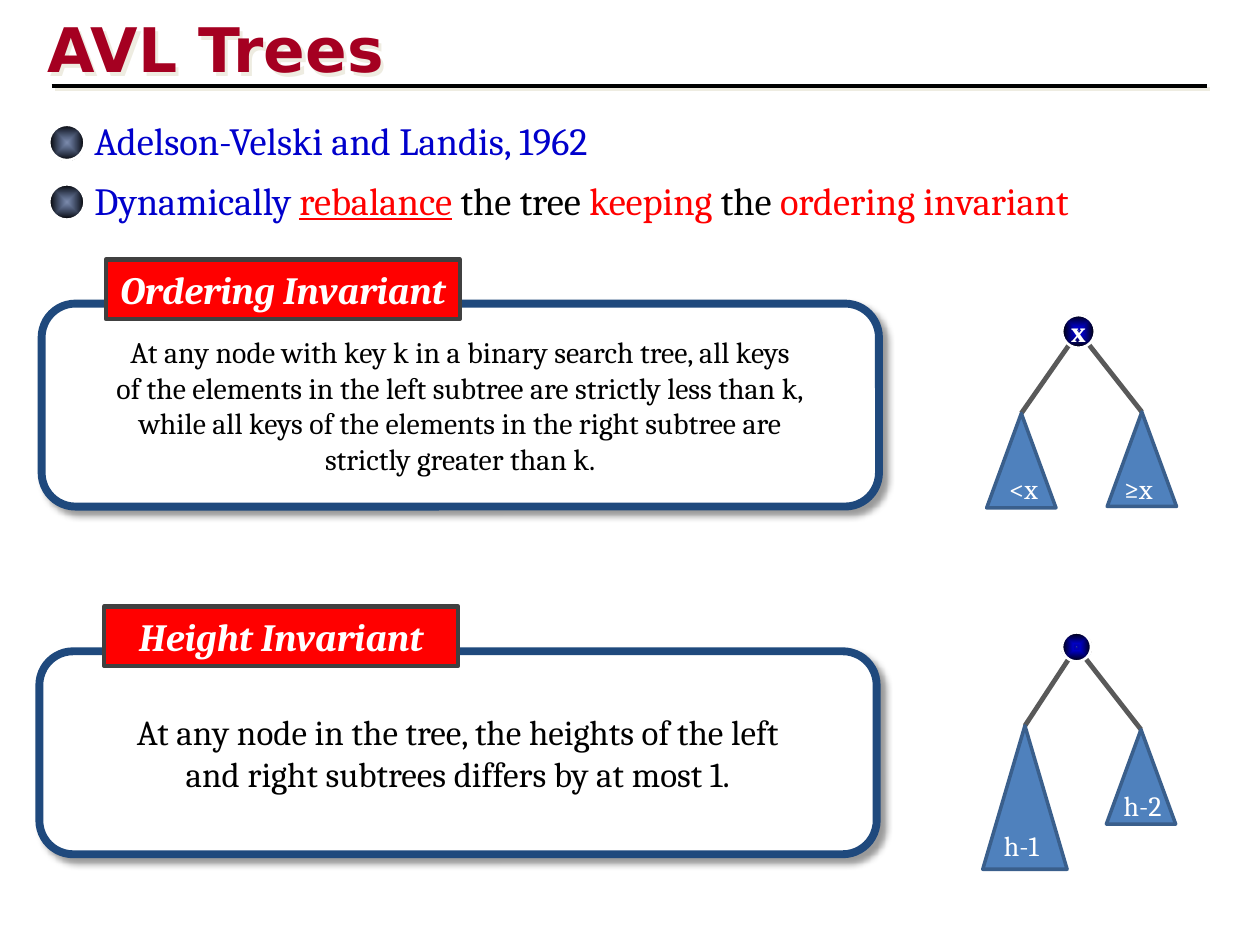
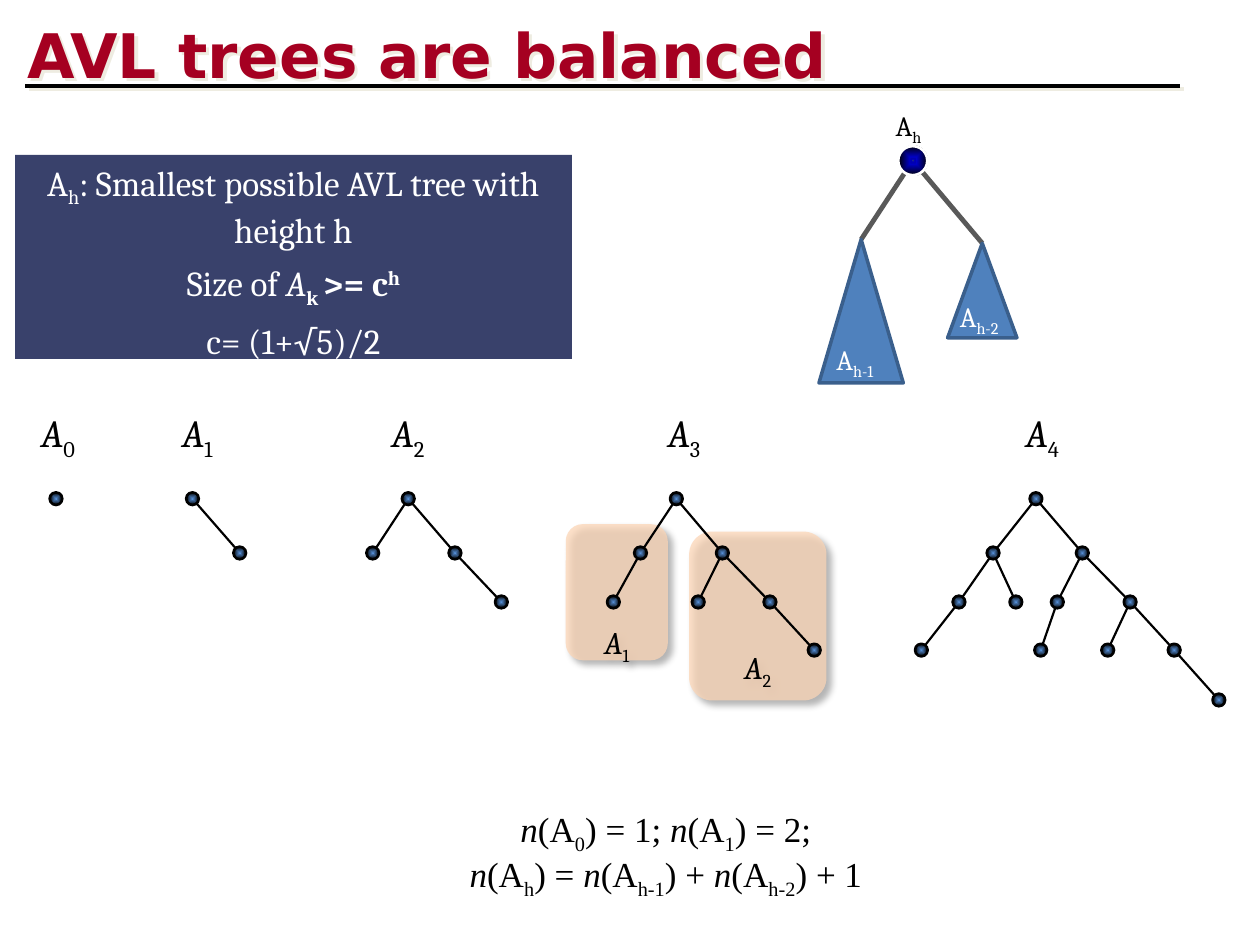
from dataclasses import dataclass

from pptx import Presentation
from pptx.dml.color import RGBColor as Rgb
from pptx.enum.shapes import MSO_CONNECTOR as Connector, MSO_SHAPE as Kind
from pptx.enum.text import MSO_ANCHOR as Anchor, PP_ALIGN as Align
from pptx.oxml import parse_xml
from pptx.oxml.ns import nsdecls, qn
from pptx.util import Pt


@dataclass(frozen=True)
class Theme:
    # Fonts and type sizes
    body_font: str = "Cambria"
    title_font: str = "DejaVu Sans"
    math_font: str = "Times New Roman"
    title: float = 35.1
    lead: float = 22
    text: float = 20
    patch: float = 18
    fine: float = 17
    label: float = 16
    # Colours
    white: str = "FFFFFF"
    black: str = "000000"
    maroon: str = "A50021"
    blue: str = "0000CC"
    red: str = "FF0000"
    navy: str = "39416B"
    peach: str = "FCD5B5"
    subtree: str = "4F81BD"
    # Outlines: colour, width
    white_edge: tuple = ("FFFFFF", 1.5)
    black_edge: tuple = ("000000", 1.5)
    panel_edge: tuple = ("1F497D", 4.5)
    tag_edge: tuple = ("404040", 2.5)
    subtree_edge: tuple = ("3A5F8C", 2)
    branch: tuple = ("595959", 2.75)
    twig: tuple = ("000000", 1.25)
    rule: tuple = ("000000", 2.25)
    # Gradients, centre to rim: position, colour, opacity
    bullet: tuple = ((0, "002060", 51), (100, "000000", 100))
    dot: tuple = ((0, "558ED5", 100), (100, "000000", 100))
    root: tuple = ((0, "0000CC", 100), (0, "002060", 25), (6, "0000C0", 100),
                   (10, "0000B7", 100), (16, "0000AB", 100),
                   (21, "0000CC", 100), (100, "000000", 100))
    # Shadows: colour, opacity, blur, distance
    title_shadow: tuple = ("EEECE1", 100, 0, 2.8)
    panel_shadow: tuple = ("000000", 40, 4, 4)


theme = Theme()
SHADOW = ('<a:outerShdw {ns} blurRad="{blur}" dist="{dist}" dir="2700000" algn="tl" '
          'rotWithShape="0"><a:srgbClr val="{color}"><a:alpha val="{alpha}"/>'
          '</a:srgbClr></a:outerShdw>')


def add_box(page, kind, place, paragraphs=(), fill=None, edge=None, shadow=None,
            size=theme.lead, font=theme.body_font, color=theme.black, marks="",
            align=Align.LEFT, anchor=Anchor.TOP, wrap=True, before=0):
    """Add a shape, or a text box if kind is None.

    A paragraph is a list of runs (text, marks, colour); the marks are
    b, i, u, _ for subscript and ^ for superscript."""
    place = [Pt(length) for length in place]
    shapes = page.shapes
    box = shapes.add_shape(kind, *place) if kind else shapes.add_textbox(*place)
    if isinstance(fill, str):
        box.fill.solid()
        box.fill.fore_color.rgb = Rgb.from_string(fill)
    elif fill:
        stops = "".join(
            f'<a:gs pos="{spot * 1000}"><a:srgbClr val="{tone}">'
            f'<a:alpha val="{alpha * 1000}"/></a:srgbClr></a:gs>'
            for spot, tone, alpha in fill)
        box._element.spPr.find(qn("a:prstGeom")).addnext(parse_xml(
            f'<a:gradFill {nsdecls("a")}><a:gsLst>{stops}</a:gsLst><a:path path="shape">'
            '<a:fillToRect l="50000" t="50000" r="50000" b="50000"/></a:path></a:gradFill>'))
    else:
        box.fill.background()
    if edge:
        box.line.color.rgb = Rgb.from_string(edge[0])
        box.line.width = Pt(edge[1])
    else:
        box.line.fill.background()
    box.shadow.inherit = False
    if shadow:
        tone, alpha, blur, distance = shadow
        box._element.spPr.find(qn("a:effectLst")).append(parse_xml(SHADOW.format(
            ns=nsdecls("a"), color=tone, alpha=alpha * 1000,
            blur=Pt(blur), dist=Pt(distance))))
    frame = box.text_frame
    frame.word_wrap = wrap
    frame.vertical_anchor = anchor
    for index, runs in enumerate(paragraphs):
        para = frame.add_paragraph() if index else frame.paragraphs[0]
        para.alignment = align
        para.space_before = Pt(before)
        para.font.name, para.font.size = font, Pt(size)
        para.font.color.rgb = Rgb.from_string(color)
        para.font.bold, para.font.italic = "b" in marks, "i" in marks
        for text, *style in runs:
            span = para.add_run()
            span.text = text
            flags = style[0] if style else ""
            if "b" in flags:
                span.font.bold = True
            if "i" in flags:
                span.font.italic = True
            if "u" in flags:
                span.font.underline = True
            if "_" in flags or "^" in flags:
                span.font._element.set("baseline", "-25000" if "_" in flags else "30000")
            if len(style) > 1:
                span.font.color.rgb = Rgb.from_string(style[1])
    return box


def add_line(page, start, end, edge, shadow=None):
    line = page.shapes.add_connector(
        Connector.STRAIGHT, *[Pt(length) for length in (*start, *end)])
    line.line.color.rgb = Rgb.from_string(edge[0])
    line.line.width = Pt(edge[1])
    effects = parse_xml(f'<a:effectLst {nsdecls("a")}/>')
    line._element.spPr.append(effects)
    if shadow:
        tone, alpha, blur, distance = shadow
        effects.append(parse_xml(SHADOW.format(
            ns=nsdecls("a"), color=tone, alpha=alpha * 1000,
            blur=Pt(blur), dist=Pt(distance))))


deck = Presentation()
deck.slide_width, deck.slide_height = Pt(720), Pt(540)

# Pages with title and rule
pages = []
for title, left, top, rule_left in (("AVL Trees", 20, 3, 29.5),
                                    ("AVL trees are balanced", 8.5, 6, 14.5)):
    page = deck.slides.add_slide(deck.slide_layouts[6])
    add_box(page, None, (left, top, 690, 48), [[(title,)]], size=theme.title,
            font=theme.title_font, color=theme.maroon, marks="b",
            shadow=theme.title_shadow)
    add_line(page, (rule_left, 49), (rule_left + 660, 49), theme.rule, theme.title_shadow)
    pages.append(page)
invariants, balance = pages

# Bulleted statements
statements = [
    [("Adelson-Velski and Landis, 1962",)],
    [("Dynamically ",), ("rebalance", "u", theme.red), (" ",),
     ("the tree ", "", theme.black), ("keeping ", "", theme.red),
     ("the ", "", theme.black), ("ordering invariant", "", theme.red)],
]
for row, runs in enumerate(statements):
    top = 63.4 + 34 * row
    add_box(invariants, Kind.OVAL, (28.1, top + 7.9, 20.2, 20.2),
            fill=theme.bullet, edge=theme.white_edge)
    add_box(invariants, None, (46.8, top, 653, 34), [runs], color=theme.blue)

# Invariant panels with their tags
panels = [
    ("Ordering Invariant", 23.8, 173.5, 60.5, 148.3, theme.fine,
     ["At any node with key k in a binary search tree, all keys",
      "of the elements in the left subtree are strictly less than k,",
      "while all keys of the elements in the right subtree are",
      "strictly greater than k."]),
    ("Height Invariant", 22.5, 372.2, 59.5, 346.5, theme.text,
     ["At any node in the tree, the heights of the left",
      "and right subtrees differs by at most 1."]),
]
for tag, left, top, tag_left, tag_top, size, lines in panels:
    add_box(invariants, Kind.ROUNDED_RECTANGLE, (left, top, 478.5, 116),
            [[(line,)] for line in lines], theme.white, theme.panel_edge,
            theme.panel_shadow, size, align=Align.CENTER, anchor=Anchor.MIDDLE, wrap=False)
    add_box(invariants, Kind.RECTANGLE, (tag_left, tag_top, 202.3, 34), [[(tag,)]],
            theme.red, theme.tag_edge, color=theme.white, marks="bi", align=Align.CENTER)

# Definition of the smallest tree
add_box(balance, Kind.RECTANGLE, (8.6, 88.5, 318.2, 116.6), [
    [("A",), ("h", "_"), (": Smallest possible AVL tree with height h",)],
    [("Size of ",), ("A", "i"), ("k ", "b_"), (">= c", "b"), ("h", "b^")],
    [("c= (1+√5)/2",)],
], theme.navy, size=theme.text, color=theme.white, align=Align.CENTER, before=6)

# Root with two subtrees: page, root centre, root size, root runs,
# then apex, width and height, caption place and caption runs of each subtree
small, tall = (39.6, 54), (48.2, 82)
diagrams = [
    (invariants, (616.3, 189.4), 18.7, [("x",)],
     [((583.6, 236.2), small, (569.5, 265.7), [("<x",)]),
      ((652.5, 235.4), small, (635, 265.7), [("≥x",)])]),
    (invariants, (615.2, 369.7), 16.6, [],
     [((585.7, 414.7), tall, (566.6, 470.2), [("h-1",)]),
      ((652, 416.9), small, (635, 447.1), [("h-2",)])]),
    (balance, (521.6, 91.8), 16.6, [],
     [((492.1, 136.8), tall, (470.9, 192.2), [("A",), ("h-1", "_")]),
      ((561.3, 139), small, (541.4, 167.8), [("A",), ("h-2", "_")])]),
]
for page, root, size, root_runs, subtrees in diagrams:
    for apex, _, _, _ in subtrees:
        add_line(page, root, apex, theme.branch)
    add_box(page, Kind.OVAL, (root[0] - size / 2, root[1] - size / 2, size, size),
            [root_runs] if root_runs else (), theme.root, theme.white_edge,
            size=theme.label, color=theme.white, marks="b", align=Align.CENTER,
            anchor=Anchor.MIDDLE, wrap=False)
    for apex, (width, height), caption, runs in subtrees:
        add_box(page, Kind.ISOSCELES_TRIANGLE, (apex[0] - width / 2, apex[1], width, height),
                fill=theme.subtree, edge=theme.subtree_edge)
        add_box(page, None, (*caption, 51, 26.6), [runs], size=theme.label, color=theme.white)
add_box(balance, None, (504.7, 58.3, 51, 26.6), [[("A",), ("h", "_")]], size=theme.label)

# Highlighted subtrees of A3
for name, place, inset in (("1", (323.3, 299.5, 58.3, 77.8), 53.5),
                           ("2", (393.8, 303.8, 78.5, 96.5), 62.5)):
    patch = add_box(balance, Kind.ROUNDED_RECTANGLE, place, [[("A", "i"), (name, "_")]],
                    theme.peach, shadow=theme.panel_shadow, size=theme.patch,
                    align=Align.CENTER, wrap=False)
    patch.text_frame.margin_top, patch.text_frame.margin_bottom = Pt(inset), 0
    tint = patch._element.spPr.find(qn("a:solidFill")).find(qn("a:srgbClr"))
    tint.append(parse_xml(f'<a:alpha {nsdecls("a")} val="73000"/>'))

# Smallest trees A0 to A4: label left, then nodes as (x, level, parent index)
level_tops = [285, 316, 344, 371.5, 400]
trees = [
    (16.5, [(32, 0, None)]),
    (97, [(110, 0, None), (137, 1, 0)]),
    (216.7, [(233.3, 0, None), (213, 1, 0), (260, 1, 0), (286.5, 2, 2)]),
    (374.5, [(386.5, 0, None), (366, 1, 0), (412.8, 1, 0), (350.5, 2, 1),
             (399, 2, 2), (440, 2, 2), (465.3, 3, 5)]),
    (579, [(592, 0, None), (567.5, 1, 0), (618.5, 1, 0), (548, 2, 1), (580.5, 2, 1),
           (604.2, 2, 2), (645.8, 2, 2), (526.5, 3, 3), (594.7, 3, 5),
           (633, 3, 6), (671, 3, 6), (696.5, 4, 10)]),
]
for height, (label_left, nodes) in enumerate(trees):
    add_box(balance, None, (label_left, 230.4, 41, 34), [[("A", "i"), (str(height), "_")]])
    centres = [(x, level_tops[level]) for x, level, _ in nodes]
    for centre, (_, _, parent) in zip(centres, nodes):
        if parent is not None:
            add_line(balance, centres[parent], centre, theme.twig)
    for x, y in centres:
        add_box(balance, Kind.OVAL, (x - 3.6, y - 3.6, 7.2, 7.2),
                fill=theme.dot, edge=theme.black_edge)

# Size recurrence
recurrence = add_box(balance, None, (221, 437, 319, 73.4), [
    [("n", "i"), ("(A",), ("0", "_"), (") = 1; ",),
     ("n", "i"), ("(A",), ("1", "_"), (") = 2;",)],
    [("n", "i"), ("(A",), ("h", "_"), (") = ",), ("n", "i"), ("(A",), ("h-1", "_"),
     (") + ",), ("n", "i"), ("(A",), ("h-2", "_"), (") + 1",)],
], size=theme.text, font=theme.math_font, align=Align.CENTER, before=4)
recurrence.text_frame.margin_top = Pt(27)
for para in recurrence.text_frame.paragraphs:
    para.line_spacing = 0.8

deck.save("out.pptx")
